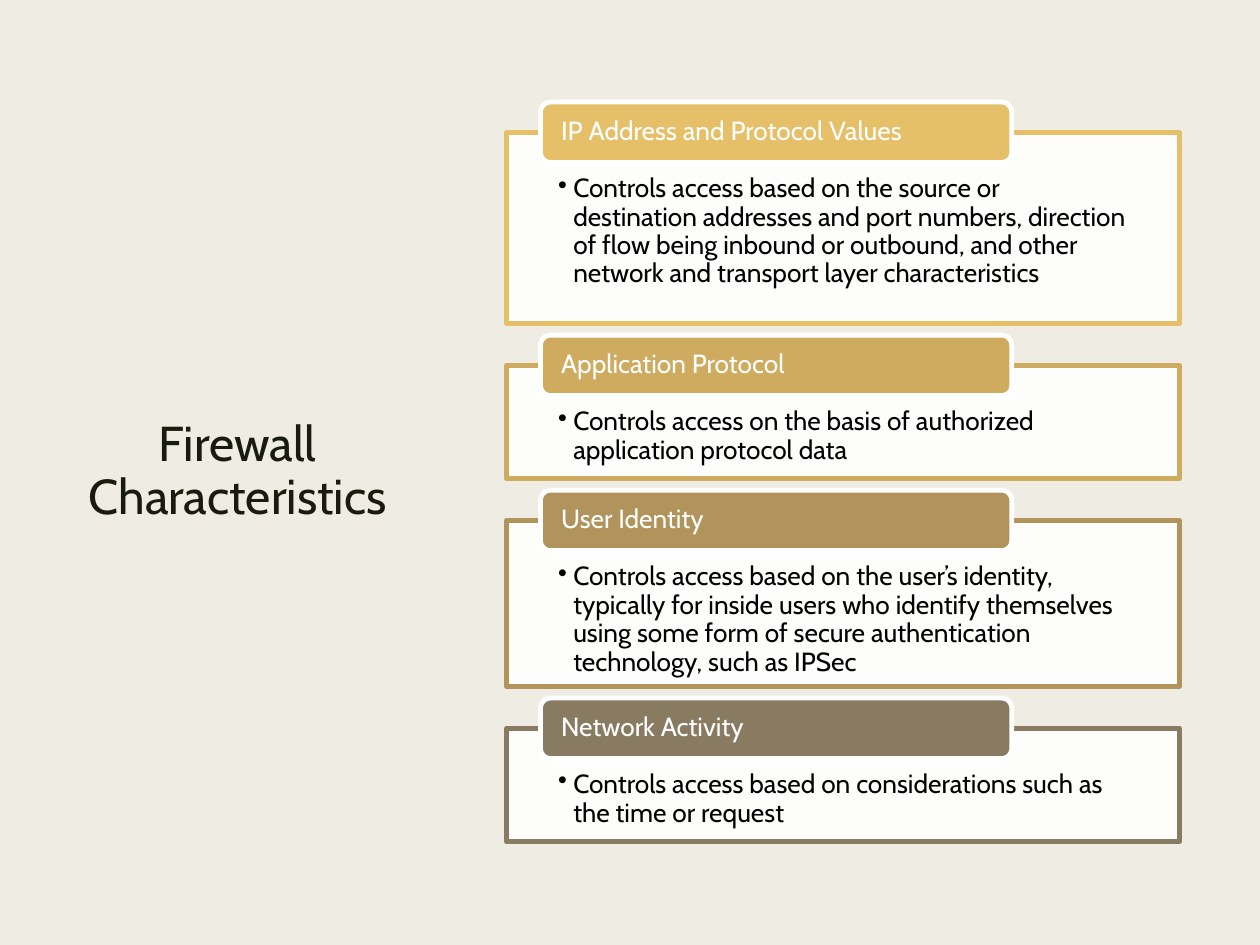
import pptx
import pptx.util
import pptx.dml.color
import pptx.enum.shapes
import pptx.enum.text
import pptx.oxml.ns
import lxml.etree

RGB = pptx.dml.color.RGBColor
Inches, Pt = pptx.util.Inches, pptx.util.Pt
Shape = pptx.enum.shapes.MSO_SHAPE
Anchor = pptx.enum.text.MSO_ANCHOR
Align = pptx.enum.text.PP_ALIGN
qn = pptx.oxml.ns.qn

CREAM = RGB(0xEF, 0xED, 0xE3)
INK = RGB(0x19, 0x1B, 0x0E)
WHITE = RGB(0xFF, 0xFF, 0xFF)
BLACK = RGB(0, 0, 0)
GOLD = RGB(0xE6, 0xC0, 0x69)
SAND = RGB(0xCE, 0xAB, 0x5F)
BRONZE = RGB(0xB0, 0x94, 0x5B)
TAUPE = RGB(0x89, 0x7B, 0x61)

# Column of panels, in inches
LEFT, WIDE, TOP, GAP = 4.02, 5.34, 1.05, 0.33
TAB_IN, TAB_UP, TAB_WIDE, TAB_HIGH = 0.27, 0.24, 3.74, 0.48

# Heading, panel height, colour, body
PANELS = [
    ("IP Address and Protocol Values", 1.52, GOLD,
     "Controls access based on the source or destination addresses and port "
     "numbers, direction of flow being inbound or outbound, and other network "
     "and transport layer characteristics"),
    ("Application Protocol", 0.9, SAND,
     "Controls access on the basis of authorized application protocol data"),
    ("User Identity", 1.32, BRONZE,
     "Controls access based on the user’s identity, typically for inside users "
     "who identify themselves using some form of secure authentication "
     "technology, such as IPSec"),
    ("Network Activity", 0.9, TAUPE,
     "Controls access based on considerations such as the time or request"),
]


def add_box(kind, place, fill, line):
    box = slide.shapes.add_shape(kind, *[Inches(n) for n in place])
    box.shadow.inherit = False
    box.fill.solid()
    box.fill.fore_color.rgb = fill
    box.line.color.rgb = line
    box.line.width = Pt(2.75)
    return box


def set_text(box, text, size, ink, align, anchor, pads):
    frame = box.text_frame
    frame.text = text
    frame.word_wrap = True
    frame.vertical_anchor = anchor
    (frame.margin_left, frame.margin_top,
     frame.margin_right, frame.margin_bottom) = [Inches(n) for n in pads]
    para = frame.paragraphs[0]
    para.alignment = align
    para.line_spacing = 0.9
    font = para.runs[0].font
    font.name, font.size, font.color.rgb = "Cabin", Pt(size), ink
    return para


deck = pptx.Presentation()
deck.slide_width, deck.slide_height = Inches(10), Inches(7.5)
slide = deck.slides.add_slide(deck.slide_layouts[5])
slide.background.fill.solid()
slide.background.fill.fore_color.rgb = CREAM

# Title on the left
title = slide.shapes.title
title.left, title.top = Inches(0.53), Inches(0.7)
title.width, title.height = Inches(2.71), Inches(6.1)
set_text(title, "Firewall Characteristics", 28, INK, Align.CENTER,
         Anchor.MIDDLE, (0.1, 0.05, 0.1, 0.05))

# Panels, each with a heading tab over its top edge
top = TOP
for head, high, tone, body in PANELS:
    panel = add_box(Shape.RECTANGLE, (LEFT, top, WIDE, high), WHITE, tone)
    color = panel.fill._xPr.find(qn("a:solidFill"))[0]
    lxml.etree.SubElement(color, qn("a:alpha"), val="90000")
    para = set_text(panel, body, 15, BLACK, Align.LEFT, Anchor.TOP,
                    (0.41, 0.34, 0.41, 0.12))
    props = para._p.get_or_add_pPr()
    props.set("marL", str(Inches(0.12)))
    props.set("indent", str(-Inches(0.12)))
    lxml.etree.SubElement(props, qn("a:buChar"), char="•")

    tab = add_box(Shape.ROUNDED_RECTANGLE,
                  (LEFT + TAB_IN, top - TAB_UP, TAB_WIDE, TAB_HIGH),
                  tone, WHITE)
    set_text(tab, head, 15, WHITE, Align.LEFT, Anchor.MIDDLE,
             (0.14, 0, 0.14, 0))
    top += high + GAP

deck.save("out.pptx")
